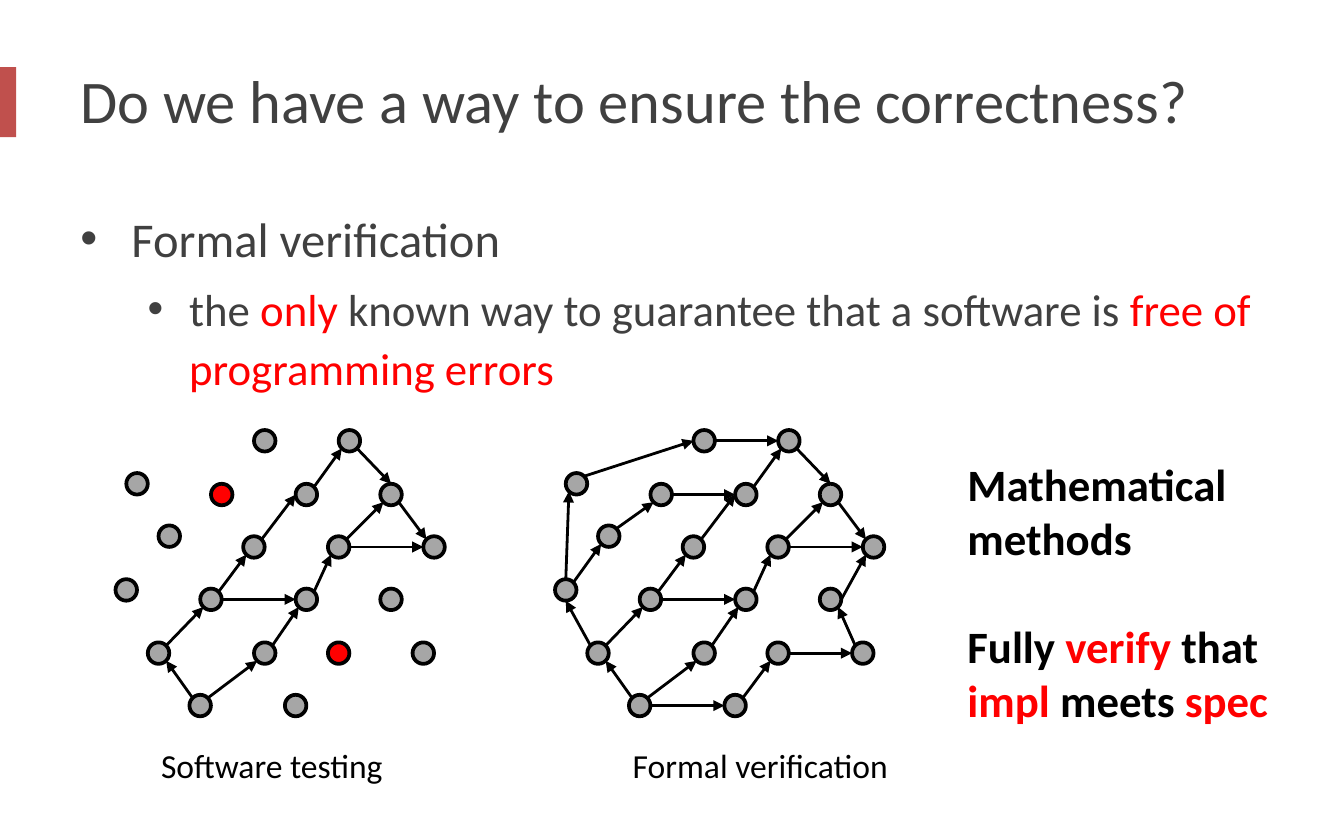
"""Build a slide that contrasts software testing with formal verification."""
from math import cos, radians, sin

from lxml.etree import SubElement
from pptx import Presentation
from pptx.dml.color import RGBColor
from pptx.enum.shapes import MSO_CONNECTOR, MSO_SHAPE
from pptx.enum.text import MSO_ANCHOR
from pptx.oxml.ns import qn
from pptx.util import Pt

PX = 9144
FONT = "Calibri"
BLACK = RGBColor(0x00, 0x00, 0x00)
DARK = RGBColor(0x40, 0x40, 0x40)
GRAY = RGBColor(0xA6, 0xA6, 0xA6)
RED = RGBColor(0xFF, 0x00, 0x00)
BRICK = RGBColor(0xC0, 0x50, 0x4D)

TITLE = [[("Do we have a way to ensure the correctness?", DARK)]]
BODY = [
    [("Formal verification", DARK)],
    [("the ", DARK), ("only ", RED),
     ("known way to guarantee that a software is ", DARK),
     ("free of programming errors", RED)],
]
BULLETS = [(38, 38, 0, 26), (81, 31, 5, 24)]  
CLAIM = [
    [("Mathematical methods", BLACK)],
    [("Fully ", BLACK), ("verify ", RED), ("that ", BLACK),
     ("impl ", RED), ("meets ", BLACK), ("spec", RED)],
]

DIAMETER = 16
NODES = {
    "a": (94, 352), "b": (189, 320), "c": (157, 360), "d": (118, 391),
    "e": (86, 431), "f": (181, 399), "g": (149, 438), "h": (252, 320),
    "i": (220, 360), "j": (244, 399), "k": (220, 438), "l": (244, 478),
    "m": (212, 517), "n": (283, 438), "o": (307, 478), "p": (110, 478),
    "q": (141, 517), "r": (315, 399), "s": (283, 360), "t": (189, 478),
}
ANGLES = {"E": 0, "SE": 45, "S": 90, "SW": 135, "W": 180, "NW": 225, "N": 270, "NE": 315}
TESTED = [
    "p NE g SW", "g NE f SW", "f NE i W", "i NE h SW", "t NE k SW",
    "g E k W", "k NE j SW", "j NE s SW", "h SE s N", "s SE r NW",
    "j E r W", "q NW p SE", "q NE t SW",
]
VERIFIED = TESTED + [
    "p NW e S", "e N a SW", "a NE b W", "b E h W", "e NE d SW",
    "d NE c SW", "c E i W", "q E m W", "m NE l SW", "l E o W",
    "o NW n SE", "n E r SW",
]
GRAPHS = [
    (0, TESTED, "cl", "Software testing", (110, 549, 240, 40)),
    (327, VERIFIED, "", "Formal verification", (461, 549, 220, 40)),
]


def emu(*lengths):
    return [round(v * PX) for v in lengths]


def add_text(s, box, paragraphs, size, bold=False, gap=0):
    tb = s.shapes.add_textbox(*emu(*box))
    tf = tb.text_frame
    tf.word_wrap = True
    for n, runs in enumerate(paragraphs):
        p = tf.paragraphs[0] if n == 0 else tf.add_paragraph()
        if n and gap:
            p.space_before = Pt(gap)
        for text, color in runs:
            r = p.add_run()
            r.text = text
            r.font.name = FONT
            r.font.size = Pt(size)
            r.font.bold = bold
            r.font.color.rgb = color
    return tf


def add_bullets(tf):
    for level, (p, (margin, hang, before, size)) in enumerate(zip(tf.paragraphs, BULLETS)):
        p.level = level
        p.line_spacing = 1.1
        p.space_before = Pt(before)
        pPr = p._p.get_or_add_pPr()
        pPr.set("marL", str(margin * PX))
        pPr.set("indent", str(-hang * PX))
        SubElement(pPr, qn("a:buFont")).set("typeface", "Arial")
        SubElement(pPr, qn("a:buChar")).set("char", "•")
        for r in p.runs:
            r.font.size = Pt(size)


def add_shape(s, kind, box, fill):
    sp = s.shapes.add_shape(kind, *emu(*box))
    sp.shadow.inherit = False
    sp.fill.solid()
    sp.fill.fore_color.rgb = fill
    sp.line.fill.background()
    return sp


def rim(node, side, shift):
    x, y = NODES[node]
    radius, angle = DIAMETER / 2, radians(ANGLES[side])
    return x + shift + radius * (1 + cos(angle)), y + radius * (1 + sin(angle))


def add_arrow(s, edge, shift):
    start, leave, end, enter = edge.split()
    ends = emu(*rim(start, leave, shift), *rim(end, enter, shift))
    cn = s.shapes.add_connector(MSO_CONNECTOR.STRAIGHT, *ends)
    cn.line.color.rgb = BLACK
    cn.line.width = Pt(1.5)
    SubElement(cn.line._get_or_add_ln(), qn("a:tailEnd")).set("type", "triangle")
    SubElement(cn._element.spPr, qn("a:effectLst"))


def add_graph(s, shift, edges, faults, caption, box):
    for name, (x, y) in NODES.items():
        fill = RED if name in faults else GRAY
        sp = add_shape(s, MSO_SHAPE.OVAL, (x + shift, y, DIAMETER, DIAMETER), fill)
        sp.line.color.rgb = BLACK
        sp.line.width = Pt(2)
    for edge in edges:
        add_arrow(s, edge, shift)
    add_text(s, box, [[(caption, BLACK)]], 18)


def main():
    prs = Presentation()
    prs.slide_width, prs.slide_height = emu(1000, 625)
    s = prs.slides.add_slide(prs.slide_layouts[6])
    add_shape(s, MSO_SHAPE.RECTANGLE, (0, 50, 12, 52), BRICK)
    title = add_text(s, (50, 25, 900, 98), TITLE, 32.4)
    title.vertical_anchor = MSO_ANCHOR.MIDDLE
    add_bullets(add_text(s, (50, 146, 900, 165), BODY, 24))
    for graph in GRAPHS:
        add_graph(s, *graph)
    add_text(s, (710, 335, 275, 212), CLAIM, 24, bold=True, gap=29)
    prs.save("out.pptx")


if __name__ == "__main__":
    main()
